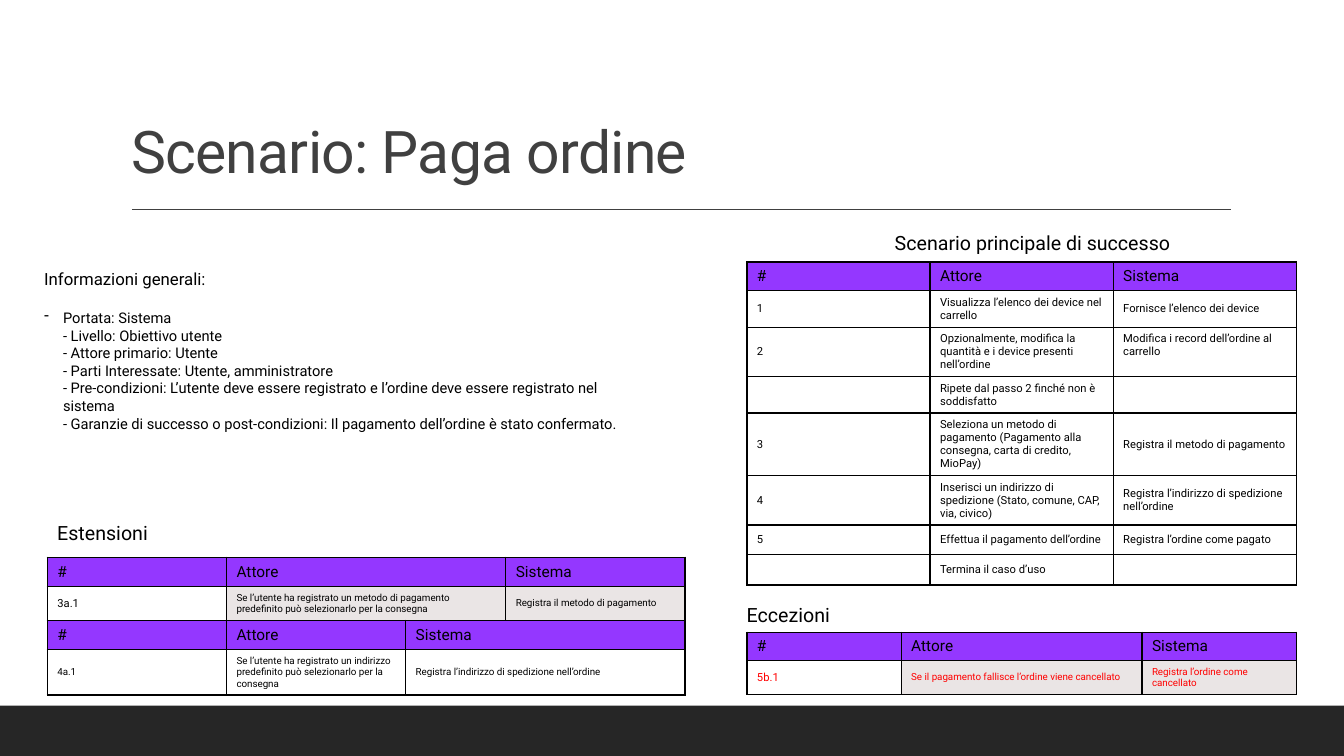
from dataclasses import dataclass

from lxml.etree import SubElement
from pptx import Presentation
from pptx.dml.color import RGBColor as RGB
from pptx.enum.shapes import MSO_CONNECTOR as LINE, MSO_SHAPE as SHAPE
from pptx.enum.text import MSO_ANCHOR as ANCHOR, MSO_AUTO_SIZE as FIT, PP_ALIGN as ALIGN
from pptx.oxml.ns import qn
from pptx.util import Pt


@dataclass(frozen=True)
class Theme:
    font: str = "Roboto"
    black: str = "000000"
    white: str = "FFFFFF"
    red: str = "FF0000"
    slate: str = "404040"
    dark: str = "262626"
    purple: str = "9437FF"
    gray: str = "EAE5E5"
    title: float = 42
    label: float = 14
    lead: float = 12
    head: float = 11
    info: float = 10.5
    body: float = 8
    small: float = 7


@dataclass(frozen=True)
class Look:
    """Format of a table row; the key is its first cell."""
    key_size: float
    size: float
    key_fill: str
    fill: str
    ink: str = "000000"


T = Theme()
HEAD = Look(T.head, T.head, T.purple, T.purple)
PLAIN = Look(T.body, T.body, T.white, T.white)
SMALL = Look(T.small, T.small, T.white, T.white)
SHADED = Look(T.body, T.small, T.white, T.gray)
ERROR = Look(T.body, T.small, T.white, T.gray, T.red)

HEADS = ("#", "Attore", "Sistema")

# Each row: height, look, texts; None continues the cell on its left
MAIN = [
    (20.2, HEAD, HEADS),
    (26.3, PLAIN, ("1", "Visualizza l’elenco dei device nel carrello",
                   "Fornisce l’elenco dei device")),
    (35.2, PLAIN, ("2", "Opzionalmente, modifica la quantità e i device presenti nell’ordine",
                   "Modifica i record dell’ordine al carrello")),
    (26, PLAIN, ("", "Ripete dal passo 2 finché non è soddisfatto", "")),
    (44.8, PLAIN, ("3", "Seleziona un metodo di pagamento (Pagamento alla consegna, "
                   "carta di credito, MioPay)", "Registra il metodo di pagamento")),
    (35.2, PLAIN, ("4", "Inserisci un indirizzo di spedizione (Stato, comune, CAP, via, civico)",
                   "Registra l’indirizzo di spedizione nell’ordine")),
    (20.8, PLAIN, ("5", "Effettua il pagamento dell’ordine", "Registra l’ordine come pagato")),
    (22, PLAIN, ("", "Termina il caso d’uso", "")),
]
EXTRAS = [
    (20.9, HEAD, ("#", "Attore", None, "Sistema")),
    (24.2, SHADED, ("3a.1", "Se l’utente ha registrato un metodo di pagamento predefinito "
                    "può selezionarlo per la consegna", None, "Registra il metodo di pagamento")),
    (20.9, HEAD, HEADS + (None,)),
    (32, SMALL, ("4a.1", "Se l’utente ha registrato un indirizzo predefinito "
                 "può selezionarlo per la consegna",
                 "Registra l’indirizzo di spedizione nell’ordine", None)),
]
ERRORS = [
    (20.5, HEAD, HEADS),
    (23.8, ERROR, ("5b.1", "Se il pagamento fallisce l’ordine viene cancellato",
                   "Registra l’ordine come cancellato")),
]
FACTS = [
    "Portata: Sistema",
    "- Livello: Obiettivo utente",
    "- Attore primario: Utente",
    "- Parti Interessate: Utente, amministratore",
    "- Pre-condizioni: L’utente deve essere registrato e l’ordine deve essere "
    "registrato nel sistema",
    "- Garanzie di successo o post-condizioni: Il pagamento dell’ordine è stato confermato.",
]


def write(para, text, size, ink=T.black, left=0, before=0, bullet=None):
    """Fill a paragraph; an empty one still gets its type size."""
    if left:
        props = para._p.get_or_add_pPr()
        props.set("marL", str(Pt(left)))
        if bullet:
            props.set("indent", str(-Pt(left)))
            SubElement(props, qn("a:buChar")).set("char", bullet)
    if before:
        para.space_before = Pt(before)
    if not text:
        SubElement(para._p, qn("a:endParaRPr")).set("sz", str(int(size * 100)))
        return None
    run = para.add_run()
    run.text = text
    font = run.font
    font.name, font.size, font.bold = T.font, Pt(size), False
    font.color.rgb = RGB.from_string(ink)
    return run


def add_box(slide, left, top, width, height):
    frame = slide.shapes.add_textbox(Pt(left), Pt(top), Pt(width), Pt(height)).text_frame
    frame.word_wrap = True
    frame.auto_size = FIT.SHAPE_TO_FIT_TEXT
    return frame


def add_label(slide, text, left, top, width):
    write(add_box(slide, left, top, width, 24.5).paragraphs[0], text, T.label)


def add_title(slide, text):
    title = slide.shapes.title
    title.left, title.top, title.width, title.height = Pt(86.4), Pt(22.3), Pt(792), Pt(114.5)
    frame = title.text_frame
    frame.vertical_anchor, frame.auto_size = ANCHOR.BOTTOM, FIT.NONE
    para = frame.paragraphs[0]
    para.alignment, para.line_spacing = ALIGN.LEFT, 0.9
    run = write(para, text, T.title, T.slate)
    run.font._element.set("spc", "-50")


def add_decor(slide):
    """Draw the bottom band and the rule under the title."""
    band = slide.shapes.add_shape(SHAPE.RECTANGLE, 0, Pt(504), Pt(960), Pt(36))
    band.shadow.inherit = False
    band.fill.solid()
    band.fill.fore_color.rgb = RGB.from_string(T.dark)
    band.line.fill.background()
    rule = slide.shapes.add_connector(LINE.STRAIGHT, Pt(94.3), Pt(149.5), Pt(879), Pt(149.5))
    rule.line.color.rgb = RGB.from_string(T.slate)
    rule.line.width = Pt(1)
    SubElement(rule._element.spPr, qn("a:effectLst"))


def add_edges(cell):
    props = cell._tc.get_or_add_tcPr()
    for side in "LRTB":
        edge = SubElement(props, qn(f"a:ln{side}"), w=str(Pt(1)))
        fill = SubElement(edge, qn("a:solidFill"))
        SubElement(fill, qn("a:srgbClr")).set("val", T.black)


def add_grid(slide, rows, widths, left, top):
    height = sum(row[0] for row in rows)
    table = slide.shapes.add_table(len(rows), len(widths), Pt(left), Pt(top),
                                   Pt(sum(widths)), Pt(height)).table
    table.first_row = table.horz_banding = False
    for col, width in zip(table.columns, widths):
        col.width = Pt(width)
    for i, (tall, look, texts) in enumerate(rows):
        table.rows[i].height = Pt(tall)
        for j, text in enumerate(texts):
            cell = table.cell(i, j)
            add_edges(cell)
            cell.fill.solid()
            cell.fill.fore_color.rgb = RGB.from_string(look.fill if j else look.key_fill)
            cell.vertical_anchor = ANCHOR.MIDDLE
            write(cell.text_frame.paragraphs[0], text, look.size if j else look.key_size,
                  look.ink)
            if text is None:
                table.cell(i, j - 1).merge(cell)
    return table


def add_info(slide):
    frame = add_box(slide, 24.5, 188.6, 436.3, 147)
    write(frame.paragraphs[0], "Informazioni generali:", T.lead)
    for i, fact in enumerate(FACTS):
        first = i == 0
        write(frame.add_paragraph(), fact, T.info, left=13.5,
              before=14 if first else 0, bullet="-" if first else None)


def main():
    deck = Presentation()
    deck.slide_width, deck.slide_height = Pt(960), Pt(540)
    slide = deck.slides.add_slide(deck.slide_layouts[5])
    add_decor(slide)
    add_title(slide, "Scenario: Paga ordine")
    steps = add_grid(slide, MAIN, [130.8] * 3, 533.5, 187.2)
    steps.cell(2, 2).vertical_anchor = ANCHOR.TOP
    add_label(slide, "Scenario principale di successo", 632, 161.3, 294.5)
    add_info(slide)
    add_grid(slide, EXTRAS, [128, 128, 71.5, 128], 33.8, 398)
    add_label(slide, "Estensioni", 33.8, 368.6, 233.3)
    add_label(slide, "Eccezioni", 526.3, 427.4, 400)
    add_grid(slide, ERRORS, [110.2, 172, 110.2], 533.5, 451.5)
    deck.save("out.pptx")


if __name__ == "__main__":
    main()
